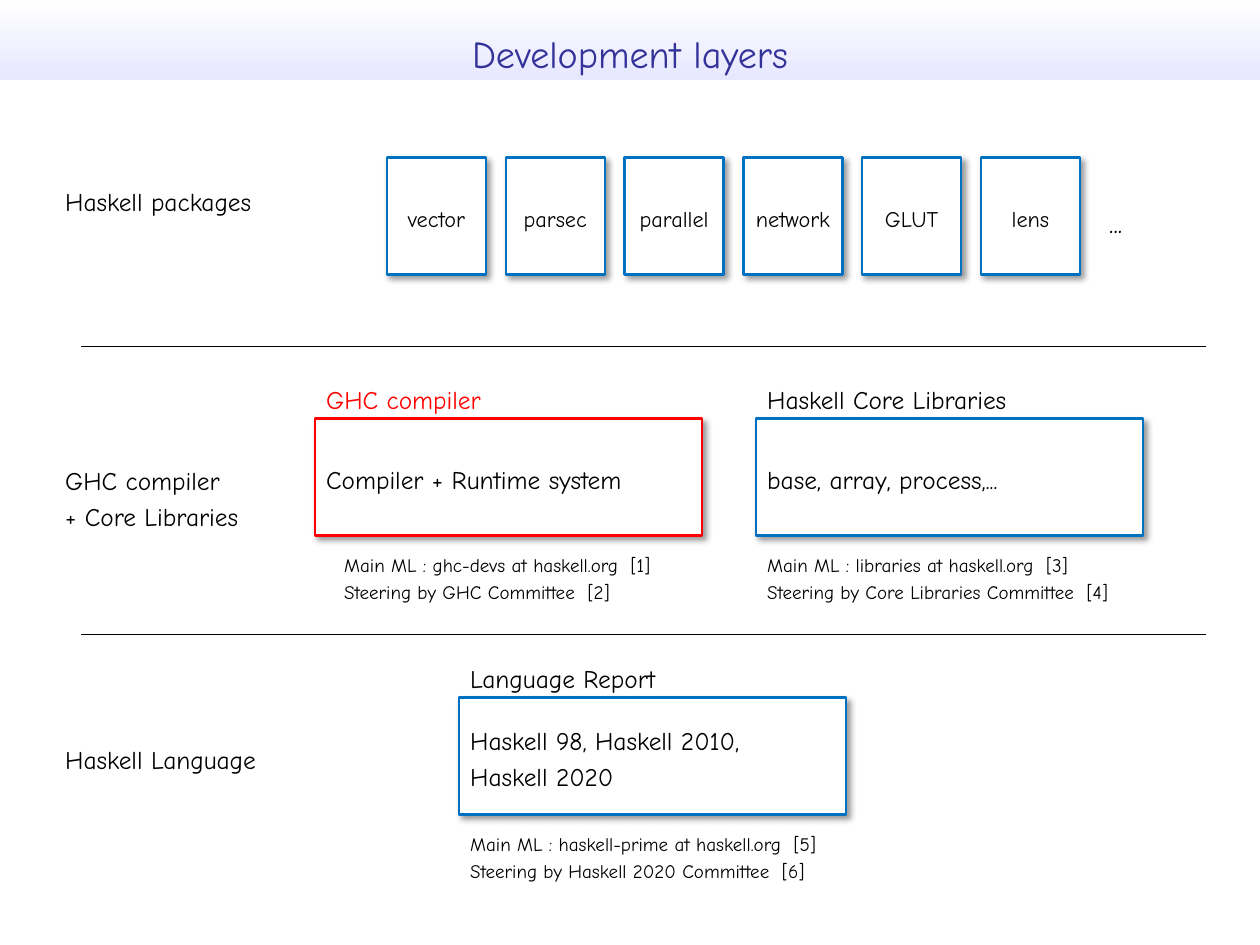
from lxml import etree
from pptx import Presentation
from pptx.dml.color import RGBColor
from pptx.enum.shapes import MSO_CONNECTOR, MSO_SHAPE
from pptx.enum.text import MSO_ANCHOR, MSO_AUTO_SIZE, PP_ALIGN
from pptx.oxml import parse_xml
from pptx.oxml.ns import nsdecls, qn
from pptx.util import Cm, Pt

RECT = MSO_SHAPE.RECTANGLE
LINE = MSO_CONNECTOR.STRAIGHT
TOP, MIDDLE = MSO_ANCHOR.TOP, MSO_ANCHOR.MIDDLE
LEFT, CENTER = PP_ALIGN.LEFT, PP_ALIGN.CENTER
FIXED = MSO_AUTO_SIZE.NONE


class Theme:
    font = "Comic Neue"
    title = RGBColor(0x33, 0x33, 0x99)
    black = RGBColor(0, 0, 0)
    white = RGBColor(0xFF, 0xFF, 0xFF)
    pale = RGBColor(0xE7, 0xE7, 0xFF)
    blue = RGBColor(0x00, 0x70, 0xC0)
    red = RGBColor(0xFF, 0, 0)
    head, more, body, pack, note = Pt(24), Pt(18), Pt(16), Pt(14), Pt(12)


def write(shape, text, size, color=Theme.black, align=LEFT, anchor=TOP, wrap=True):
    frame = shape.text_frame
    frame.text = text
    frame.auto_size = FIXED
    frame.word_wrap = wrap
    frame.vertical_anchor = anchor
    for para in frame.paragraphs:
        para.alignment = align
        para.line_spacing = 1.17
        para.font.name = Theme.font
        para.font.size = size
        para.font.color.rgb = color


def add_box(left, top, width, text, size, edge, align):
    box = slide.shapes.add_shape(RECT, Cm(left), Cm(top), Cm(width), Cm(2.6))
    box.fill.solid()
    box.fill.fore_color.rgb = Theme.white
    box.line.color.rgb = edge
    box.line.width = Pt(1.5)
    box.shadow.inherit = False
    glow = box._element.spPr.find(qn("a:effectLst"))
    glow.append(parse_xml(
        f'<a:outerShdw {nsdecls("a")} blurRad="{Pt(4)}" dist="{Pt(3)}" dir="2700000" '
        'algn="tl" rotWithShape="0"><a:srgbClr val="000000"><a:alpha val="40000"/>'
        '</a:srgbClr></a:outerShdw>'))
    write(box, text, size, align=align, anchor=MIDDLE, wrap=False)


deck = Presentation()
deck.slide_width, deck.slide_height = Cm(28), Cm(21)
slide = deck.slides.add_slide(deck.slide_layouts[5])
shapes = slide.shapes

band = shapes.add_shape(RECT, 0, 0, Cm(28), Cm(1.78))
band.fill.gradient()
band.fill.gradient_angle = 270
for stop, color in zip(band.fill.gradient_stops, (Theme.white, Theme.pale)):
    stop.color.rgb = color
band.line.fill.background()
band.shadow.inherit = False
shapes._spTree.insert(2, band._element)

title = shapes.title
title.left, title.top, title.width, title.height = Cm(0.8), Cm(0.38), Cm(26.4), Cm(2.4)
write(title, "Development layers", Theme.head, Theme.title, CENTER)

layers = ["Haskell packages", "GHC compiler\n+ Core Libraries", "Haskell Language"]
for row, name in enumerate(layers):
    label = shapes.add_textbox(Cm(1.2), Cm(3.9 + 6.2 * row), Cm(7), Cm(2))
    write(label, name, Theme.body)

for y in (7.7, 14.1):
    rule = shapes.add_connector(LINE, Cm(1.8), Cm(y), Cm(26.8), Cm(y))
    rule.line.color.rgb = Theme.black
    rule.line.width = Pt(1)
    etree.SubElement(rule._element.spPr, qn("a:effectLst"))

packs = ["vector", "parsec", "parallel", "network", "GLUT", "lens"]
for col, name in enumerate(packs):
    add_box(8.6 + 2.64 * col, 3.5, 2.2, name, Theme.pack, Theme.blue, CENTER)
more = shapes.add_textbox(Cm(24.4), Cm(4.3), Cm(2), Cm(1.2))
write(more, "...", Theme.more)

parts = [
    (7, 9.3, 7.4, "GHC compiler", Theme.red, Theme.red, "Compiler + Runtime system",
     "Main ML : ghc-devs at haskell.org  [1]\nSteering by GHC Committee  [2]"),
    (16.8, 9.3, 16.8, "Haskell Core Libraries", Theme.black, Theme.blue,
     "base, array, process,...",
     "Main ML : libraries at haskell.org  [3]\nSteering by Core Libraries Committee  [4]"),
    (10.2, 15.5, 10.2, "Language Report", Theme.black, Theme.blue,
     "Haskell 98, Haskell 2010,\nHaskell 2020",
     "Main ML : haskell-prime at haskell.org  [5]\nSteering by Haskell 2020 Committee  [6]"),
]
for left, top, inset, name, color, edge, text, about in parts:
    add_box(left, top, 8.6, text, Theme.body, edge, LEFT)
    head = shapes.add_textbox(Cm(left), Cm(top - 1), Cm(7), Cm(1))
    write(head, name, Theme.body, color)
    note = shapes.add_textbox(Cm(inset), Cm(top + 2.8), Cm(10.8), Cm(1.2))
    write(note, about, Theme.note)

deck.save("out.pptx")
